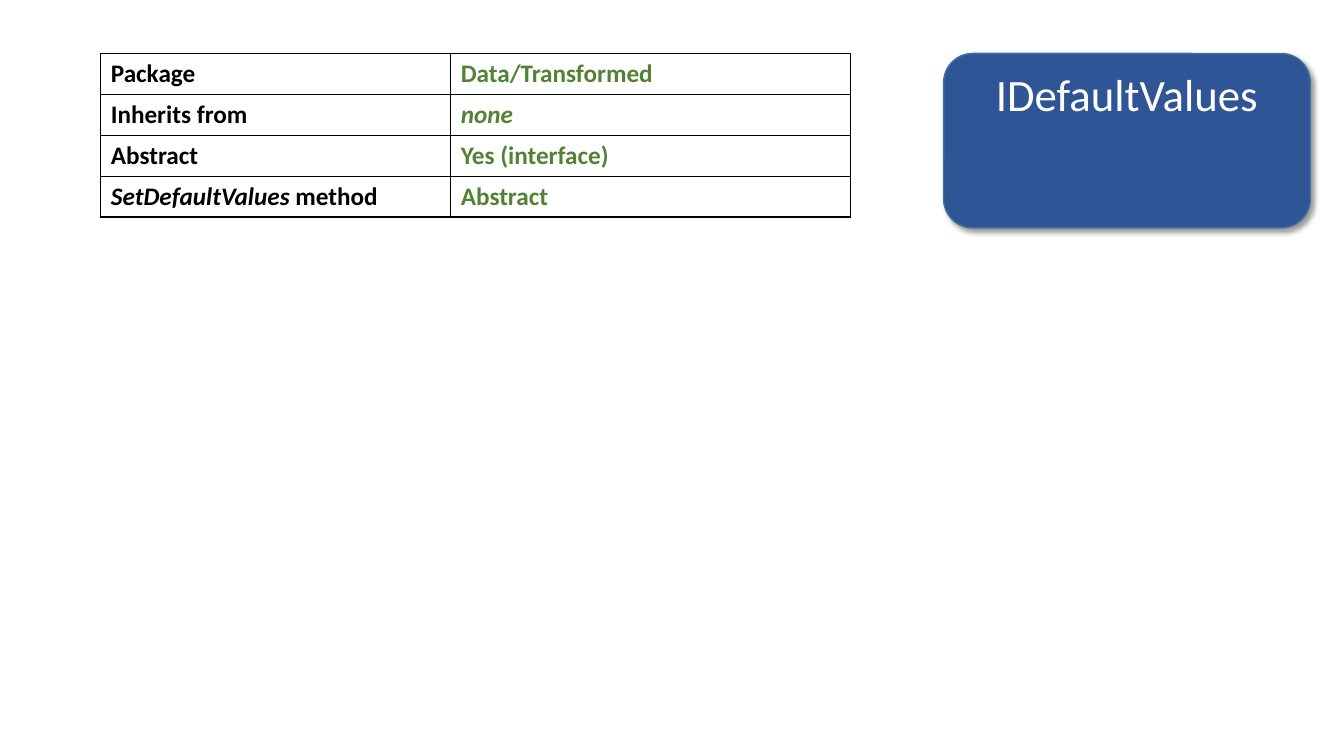
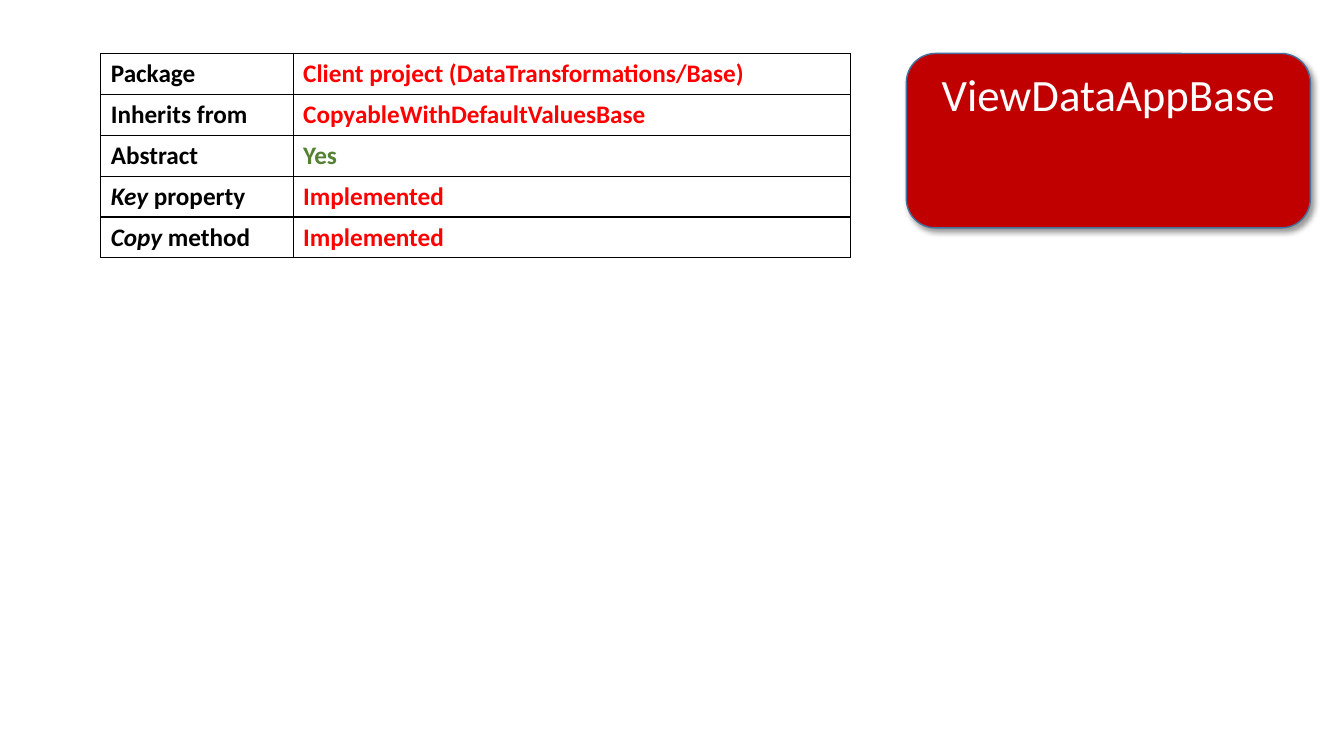
import pptx
import pptx.dml.color
import pptx.enum.shapes
import pptx.enum.text
import pptx.oxml
import pptx.oxml.ns
import pptx.util

Pt = pptx.util.Pt
FONT = "Calibri"
BLACK, WHITE, EDGE = "000000", "FFFFFF", "43739E"
BLUE, GREEN, RED, DARK = "2F5597", "548235", "FF0000", "C00000"
TOP, LEFT, RIGHT = 38.2, 72, 936
WIDE, ROW, HIGH = 535.6, 29.2, 124.6
NS = pptx.oxml.ns.nsdecls("a")


def rgb(code):
    return pptx.dml.color.RGBColor.from_string(code)


def write(frame, text, size=18, color=BLACK, bold=False, align=None):
    """Fill the frame; parts between asterisks are italic."""
    para = frame.paragraphs[0]
    para.alignment = align
    for i, part in enumerate(text.split("*")):
        if part:
            run = para.add_run()
            run.text = part
            font = run.font
            font.name, font.size = FONT, Pt(size)
            font.bold, font.italic = bold, i % 2 == 1
            font.color.rgb = rgb(color)


def shade(shape):
    """Cast a soft shadow down and to the right."""
    shape.shadow.inherit = False
    node = shape._element.spPr.find(pptx.oxml.ns.qn("a:effectLst"))
    node.append(pptx.oxml.parse_xml(
        f'<a:outerShdw {NS} blurRad="{Pt(4)}" dist="{Pt(3)}" dir="2700000" '
        f'algn="tl" rotWithShape="0"><a:srgbClr val="{BLACK}">'
        '<a:alpha val="40000"/></a:srgbClr></a:outerShdw>'))


def border(cell):
    props = cell._tc.get_or_add_tcPr()
    for i, side in enumerate("LRTB"):
        props.insert(i, pptx.oxml.parse_xml(
            f'<a:ln{side} {NS} w="{Pt(1)}"><a:solidFill>'
            f'<a:srgbClr val="{BLACK}"/></a:solidFill></a:ln{side}>'))


def badge(slide, name, fill, left, top, width, height):
    """Place the rounded box with the class name."""
    kind = pptx.enum.shapes.MSO_SHAPE.ROUNDED_RECTANGLE
    box = slide.shapes.add_shape(kind, Pt(left), Pt(top), Pt(width), Pt(height))
    box.fill.solid()
    box.fill.fore_color.rgb = rgb(fill)
    box.line.color.rgb = rgb(EDGE)
    box.line.width = Pt(1)
    shade(box)
    frame = box.text_frame
    frame.word_wrap = True
    frame.vertical_anchor = pptx.enum.text.MSO_ANCHOR.TOP
    write(frame, name, size=32, color=WHITE,
          align=pptx.enum.text.PP_ALIGN.CENTER)


def facts(slide, rows, split, left, top, width):
    """Place the table of traits; split is the width of the first column."""
    grid = slide.shapes.add_table(len(rows), 2, Pt(left), Pt(top), Pt(width),
                                  Pt(ROW * len(rows))).table
    grid.first_row = grid.horz_banding = False
    grid.columns[0].width = Pt(split)
    grid.columns[1].width = Pt(width - split)
    for r, (label, value, color) in enumerate(rows):
        grid.rows[r].height = Pt(ROW)
        for c, (text, tint) in enumerate(((label, BLACK), (value, color))):
            cell = grid.cell(r, c)
            cell.fill.background()
            border(cell)
            write(cell.text_frame, text, color=tint, bold=True)


def sheet(deck, name, fill, width, split, rows):
    """Add one slide that describes a class."""
    slide = deck.slides.add_slide(deck.slide_layouts[6])
    badge(slide, name, fill, RIGHT - width, TOP, width, HIGH)
    facts(slide, rows, split, LEFT, TOP, WIDE)


def main():
    deck = pptx.Presentation()
    deck.slide_width, deck.slide_height = Pt(960), Pt(540)
    sheet(deck, "IDefaultValues", BLUE, 262, 250, [
        ("Package", "Data/Transformed", GREEN),
        ("Inherits from", "*none*", GREEN),
        ("Abstract", "Yes (interface)", GREEN),
        ("*SetDefaultValues* method", "Abstract", GREEN),
    ])
    sheet(deck, "ViewDataAppBase", DARK, 288.6, 137.4, [
        ("Package", "Client project (DataTransformations/Base)", RED),
        ("Inherits from", "CopyableWithDefaultValuesBase", RED),
        ("Abstract", "Yes", GREEN),
        ("*Key* property", "Implemented", RED),
        ("*Copy* method", "Implemented", RED),
    ])
    deck.save("out.pptx")


if __name__ == "__main__":
    main()
